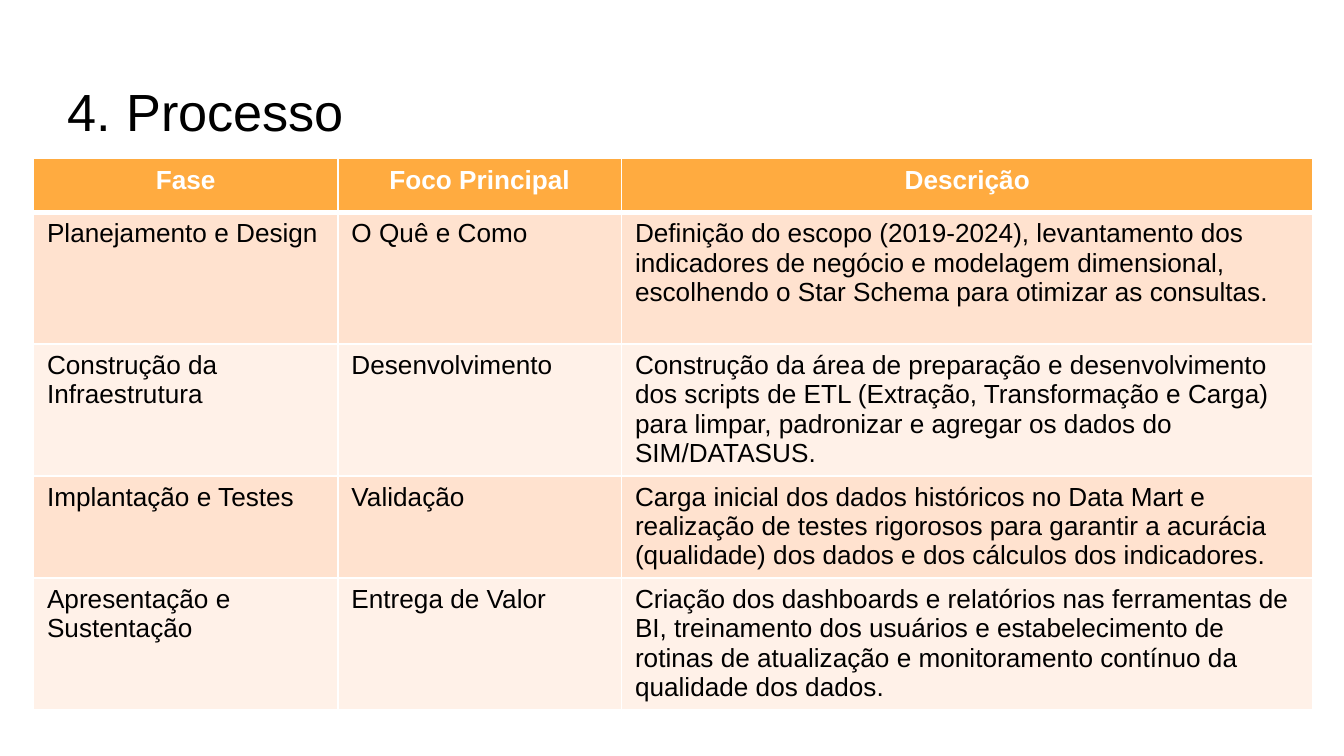
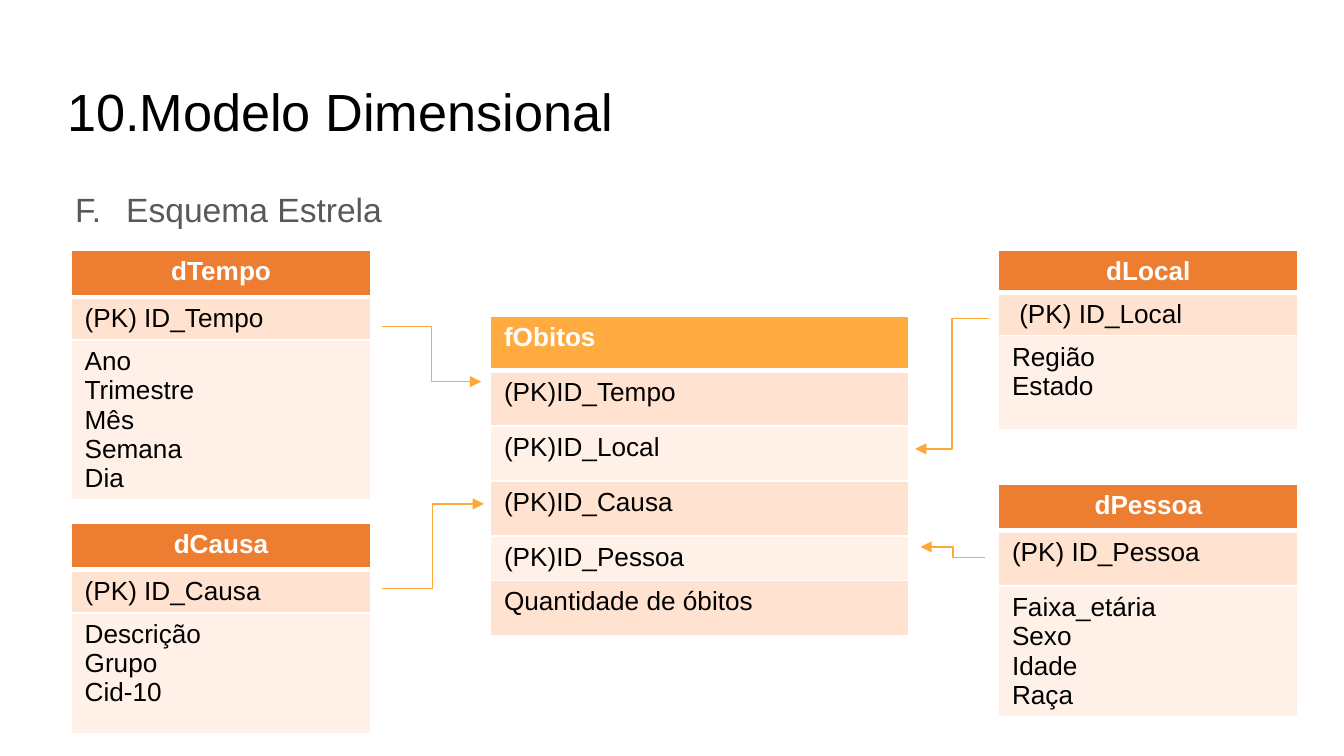
"""Build two slides: the process phases and the star schema of the data mart."""
from lxml.etree import SubElement as Sub, fromstring
from pptx import Presentation
from pptx.dml.color import RGBColor as RGB
from pptx.enum.shapes import MSO_CONNECTOR as Conn
from pptx.enum.text import MSO_ANCHOR as Anchor, MSO_AUTO_SIZE as Fit, PP_ALIGN as Align
from pptx.oxml.ns import nsdecls, qn
from pptx.util import Pt

PX = 4572
FONT = "Arial"
HUE = {
    "black": "000000", "white": "FFFFFF", "gray": "595959",
    "amber": "FFAB40", "orange": "ED7D31", "line": "FEA83A",
    "odd": "FFE2CF", "even": "FFF1E8",
}


def point(box, place, text, size, hue, kind, start, hang):
    """Place a text shape and fill it with one numbered item."""
    box.left, box.top, box.width, box.height = [n * PX for n in place]
    frame = box.text_frame
    frame.word_wrap = True
    frame.auto_size = Fit.NONE
    frame.vertical_anchor = Anchor.TOP
    frame.margin_left = frame.margin_right = 20 * PX
    frame.margin_top = frame.margin_bottom = 20 * PX
    para = frame.paragraphs[0]
    para.alignment = Align.LEFT
    run = para.add_run()
    run.text = text
    run.font.name, run.font.size = FONT, Pt(size)
    run.font.color.rgb = RGB.from_string(HUE[hue])
    props = para._p.get_or_add_pPr()
    props.set("marL", str(100 * PX))
    props.set("indent", str(-hang * PX))
    Sub(Sub(props, qn("a:buClr")), qn("a:srgbClr"), val=HUE[hue])
    Sub(props, qn("a:buFont"), typeface=FONT)
    Sub(props, qn("a:buAutoNum"), type=kind, startAt=str(start))
    return para


def grid(slide, left, top, high, cols, rows, cells, hue, align=Align.CENTER):
    """Add a table with a coloured head, banded rows and white rules."""
    frame = slide.shapes.add_table(len(rows), len(cols), left * PX, top * PX,
                                   sum(cols) * PX, high * PX)
    table = frame.table
    table.horz_banding = False
    for col, wide in zip(table.columns, cols):
        col.width = wide * PX
    for row, tall in zip(table.rows, rows):
        row.height = tall * PX
    frame.height = high * PX
    for r, line in enumerate(cells):
        for c, text in enumerate(line):
            cell = table.cell(r, c)
            cell.fill.solid()
            band = hue if r == 0 else "odd" if r % 2 else "even"
            cell.fill.fore_color.rgb = RGB.from_string(HUE[band])
            for i, part in enumerate(text.split("\n")):
                body = cell.text_frame
                para = body.add_paragraph() if i else body.paragraphs[0]
                para.alignment = Align.LEFT if r else align
                run = para.add_run()
                run.text = part
                run.font.name, run.font.size = FONT, Pt(14)
                run.font.bold = r == 0
                run.font.color.rgb = RGB.from_string(HUE["black" if r else "white"])
            for i, side in enumerate("LRTB"):
                thick = 3 if (r, side) in ((0, "B"), (1, "T")) else 1
                cell._tc.get_or_add_tcPr().insert(i, fromstring(
                    f'<a:ln{side} {nsdecls("a")} w="{Pt(thick)}"><a:solidFill>'
                    f'<a:srgbClr val="{HUE["white"]}"/></a:solidFill></a:ln{side}>'))


deck = Presentation()
deck.slide_width, deck.slide_height = 2000 * PX, 1125 * PX
pages = []
for text, start in (("Processo", 4), ("Modelo Dimensional", 10)):
    page = deck.slides.add_slide(deck.slide_layouts[5])
    point(page.shapes.title, (68, 98, 1864, 126), text, 28, "black",
          "arabicPeriod", start, 88)
    pages.append(page)
plan, star = pages

phases = [
    ("Fase", "Foco Principal", "Descrição"),
    ("Planejamento e Design", "O Quê e Como",
     "Definição do escopo (2019-2024), levantamento dos indicadores de negócio e "
     "modelagem dimensional, escolhendo o Star Schema para otimizar as consultas."),
    ("Construção da Infraestrutura", "Desenvolvimento",
     "Construção da área de preparação e desenvolvimento dos scripts de ETL "
     "(Extração, Transformação e Carga) para limpar, padronizar e agregar os dados "
     "do SIM/DATASUS."),
    ("Implantação e Testes", "Validação",
     "Carga inicial dos dados históricos no Data Mart e realização de testes "
     "rigorosos para garantir a acurácia (qualidade) dos dados e dos cálculos dos "
     "indicadores."),
    ("Apresentação e Sustentação", "Entrega de Valor",
     "Criação dos dashboards e relatórios nas ferramentas de BI, treinamento dos "
     "usuários e estabelecimento de rotinas de atualização e monitoramento contínuo "
     "da qualidade dos dados."),
]
grid(plan, 50, 236, 850, (453, 422, 1029), (80, 196, 196, 152, 196), phases, "amber")

place = (68, 252, 1864, 748)
note = point(star.shapes.add_textbox(*place), place, "Esquema Estrela", 18, "gray",
             "alphaUcPeriod", 6, 76)
note.line_spacing = 1.15

dims = [
    (106, 372, 390, (70, 58, 180), "dTempo", "(PK) ID_Tempo",
     "Ano\nTrimestre\nMês\nSemana\nDia"),
    (1486, 372, 274, (54, 52, 140), "dLocal", " (PK) ID_Local", "Região\nEstado"),
    (106, 778, 316, (70, 58, 180), "dCausa", "(PK) ID_Causa",
     "Descrição\nGrupo\nCid-10"),
    (1486, 720, 358, (70, 82, 114), "dPessoa", "(PK) ID_Pessoa",
     "Faixa_etária\nSexo\nIdade\nRaça"),
]
for left, top, high, rows, *texts in dims:
    grid(star, left, top, high, (446,), rows, [(t,) for t in texts], "orange")

facts = ["fObitos", "(PK)ID_Tempo", "(PK)ID_Local", "(PK)ID_Causa",
         "(PK)ID_Pessoa", "Quantidade de óbitos"]
grid(star, 730, 470, 472, (622,), (82, 82, 82, 82, 66, 82),
     [(t,) for t in facts], "amber", Align.LEFT)

links = [(568, 486, 716, 568), (568, 876, 720, 750),
         (1472, 474, 1362, 668), (1466, 830, 1370, 814)]
for ends in links:
    link = star.shapes.add_connector(Conn.ELBOW, *[n * PX for n in ends])
    link.line.width = Pt(0.75)
    link.line.color.rgb = RGB.from_string(HUE["line"])
    Sub(link.line._get_or_add_ln(), qn("a:tailEnd"), type="triangle")
    Sub(link._element.spPr, qn("a:effectLst"))

deck.save("out.pptx")
